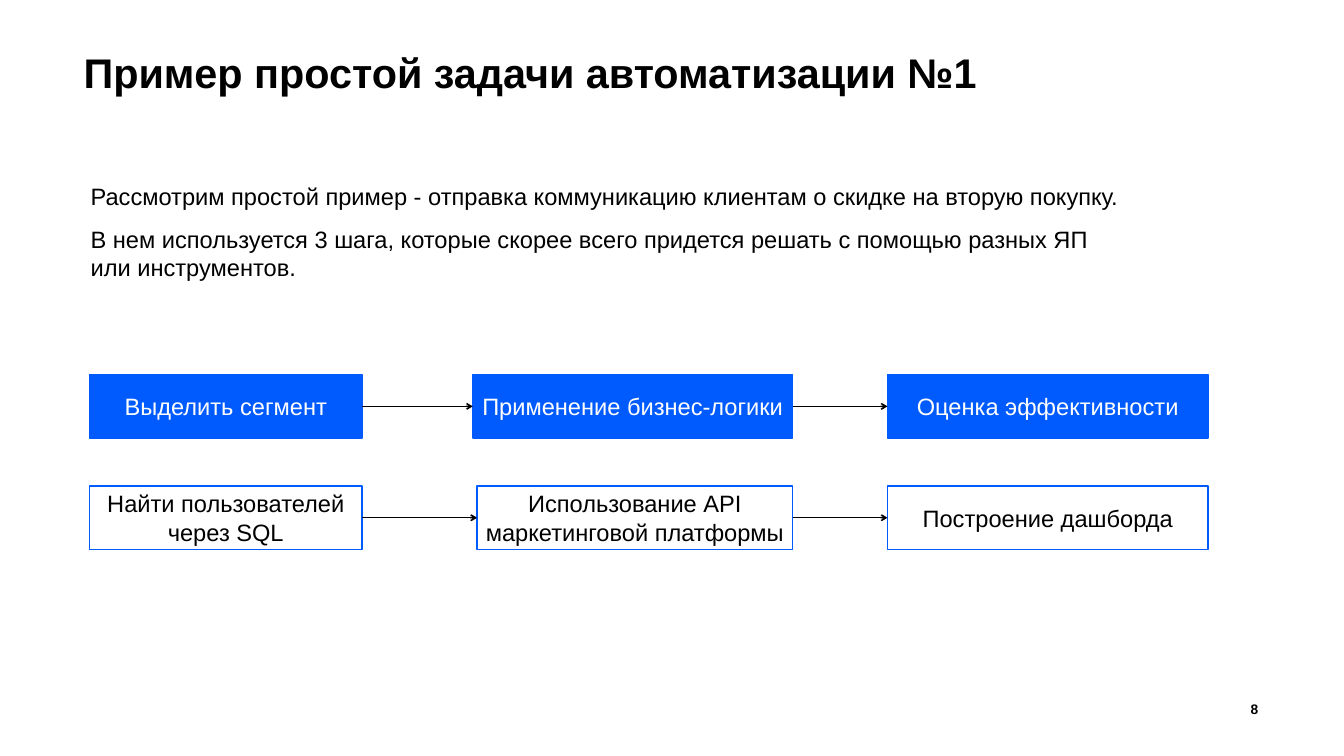
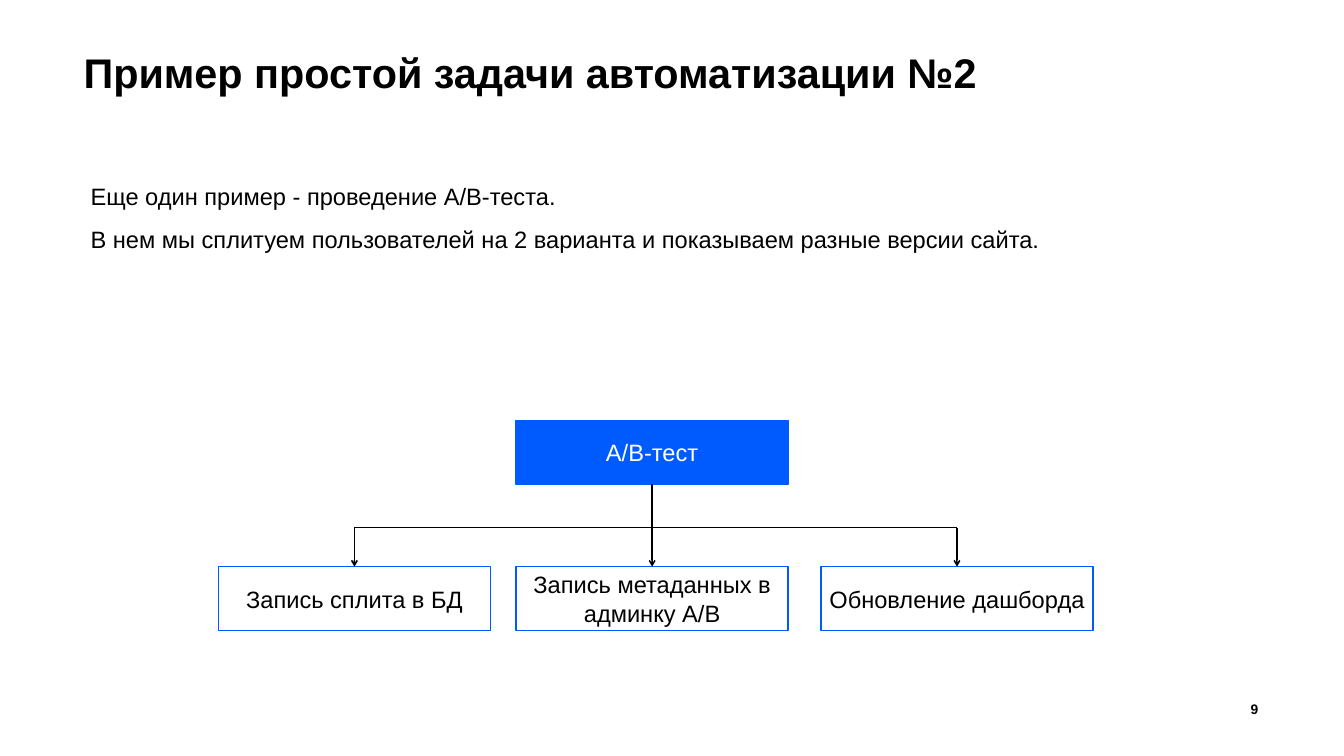
"""Build two slides about simple automation tasks."""
from dataclasses import dataclass
from itertools import pairwise

from lxml.etree import SubElement
from pptx import Presentation
from pptx.dml.color import RGBColor
from pptx.enum.shapes import MSO_CONNECTOR, MSO_SHAPE
from pptx.enum.text import MSO_ANCHOR, PP_ALIGN
from pptx.oxml.ns import qn
from pptx.shapes.autoshape import Shape
from pptx.shapes.connector import Connector
from pptx.slide import Slide
from pptx.text.text import TextFrame
from pptx.util import Emu, Pt

SCALE = 9144
TOP, LEFT, BOTTOM, RIGHT = range(4)


@dataclass(frozen=True)
class Theme:
    """Hold the colours, font and type sizes of the deck."""
    blue: RGBColor = RGBColor(0x00, 0x5B, 0xFF)
    black: RGBColor = RGBColor(0x00, 0x00, 0x00)
    white: RGBColor = RGBColor(0xFF, 0xFF, 0xFF)
    font: str = "Arial"
    title: int = 42
    body: int = 24
    page: int = 14
    line: float = 1.5
    before: int = 7
    after: int = 8


@dataclass(frozen=True)
class Box:
    """Describe one box of a diagram."""
    x: int
    y: int
    w: int
    text: str
    solid: bool = False
    h: int = 90


THEME = Theme()

STEPS = (
    (Box(126, 528, 385, "Выделить сегмент", True),
     Box(667, 528, 451, "Применение бизнес-логики", True),
     Box(1252, 528, 452, "Оценка эффективности", True)),
    (Box(126, 685, 385, "Найти пользователей через SQL"),
     Box(673, 685, 445, "Использование API\nмаркетинговой платформы"),
     Box(1252, 685, 452, "Построение дашборда")),
)
ROOT = Box(728, 593, 384, "А/В-тест", True)
LEAVES = (
    Box(308, 799, 384, "Запись сплита в БД"),
    Box(728, 799, 384, "Запись метаданных в админку А/В"),
    Box(1158, 799, 384, "Обновление дашборда"),
)
BAR = 744


def px(n: int) -> Emu:
    """Turn px into EMU."""
    return Emu(n * SCALE)


def style(frame: TextFrame, size: int, color: RGBColor, bold: bool = False,
          align: PP_ALIGN = PP_ALIGN.LEFT) -> None:
    """Format every run of a text frame."""
    frame.word_wrap = True
    for para in frame.paragraphs:
        para.alignment = align
        for run in para.runs:
            font = run.font
            font.name, font.size, font.bold = THEME.font, Pt(size), bold
            font.color.rgb = color


def write(slide: Slide, x: int, y: int, w: int, h: int, text: str) -> TextFrame:
    """Add a text box and return its frame."""
    frame = slide.shapes.add_textbox(px(x), px(y), px(w), px(h)).text_frame
    frame.text = text
    return frame


def inset(frame: TextFrame, side: int, top: int, bottom: int) -> None:
    """Set the margins of a text frame."""
    frame.margin_left = frame.margin_right = px(side)
    frame.margin_top, frame.margin_bottom = px(top), px(bottom)


def start(deck: Presentation, title: str, body: str, page: str) -> Slide:
    """Add a slide with its title, body text and page number."""
    slide = deck.slides.add_slide(deck.slide_layouts[6])

    head = write(slide, 118, 63, 1660, 124, title)
    inset(head, 0, 12, 0)
    style(head, THEME.title, THEME.black, bold=True)
    head.paragraphs[0].line_spacing = 0.9

    text = write(slide, 118, 251, 1492, 228, body)
    style(text, THEME.body, THEME.black)
    for i, para in enumerate(text.paragraphs):
        para.space_before = Pt(THEME.before if i else 0)
        para.space_after = Pt(THEME.after)

    foot = write(slide, 1679, 981, 100, 37, page)
    inset(foot, 4, 0, 6)
    foot.vertical_anchor = MSO_ANCHOR.BOTTOM
    style(foot, THEME.page, THEME.black, bold=True, align=PP_ALIGN.RIGHT)
    return slide


def draw(slide: Slide, box: Box) -> Shape:
    """Draw a solid or outlined box with centred text."""
    shape = slide.shapes.add_shape(
        MSO_SHAPE.RECTANGLE, px(box.x), px(box.y), px(box.w), px(box.h))
    shape.shadow.inherit = False
    if box.solid:
        shape.fill.solid()
        shape.fill.fore_color.rgb = THEME.blue
    else:
        shape.fill.background()
    shape.line.color.rgb = THEME.blue
    shape.line.width = Pt(THEME.line)
    frame = shape.text_frame
    frame.text = box.text
    frame.vertical_anchor = MSO_ANCHOR.MIDDLE
    style(frame, THEME.body, THEME.white if box.solid else THEME.black,
          align=PP_ALIGN.CENTER)
    return shape


def link(slide: Slide, x: int = 0, y: int = 0, to_x: int = 0, to_y: int = 0,
         arrow: bool = True) -> Connector:
    """Add a straight line, with an arrowhead if asked."""
    line = slide.shapes.add_connector(
        MSO_CONNECTOR.STRAIGHT, px(x), px(y), px(to_x), px(to_y))
    line.line.color.rgb = THEME.black
    line.line.width = Pt(THEME.line)
    props = line._element.spPr
    if arrow:
        SubElement(props.find(qn("a:ln")), qn("a:tailEnd"), type="arrow")
    SubElement(props, qn("a:effectLst"))
    return line


def join(slide: Slide, a: Shape, side: int, b: Shape, end: int) -> None:
    """Join the sides of two boxes with an arrow."""
    line = link(slide)
    line.begin_connect(a, side)
    line.end_connect(b, end)


def flow(slide: Slide) -> None:
    """Draw the rows of steps."""
    for row in STEPS:
        shapes = [draw(slide, box) for box in row]
        for a, b in pairwise(shapes):
            join(slide, a, RIGHT, b, LEFT)


def tree(slide: Slide) -> None:
    """Draw the root, its leaves and the lines between them."""
    root = draw(slide, ROOT)
    left, mid, right = [draw(slide, box) for box in LEAVES]
    mids = [box.x + box.w // 2 for box in LEAVES]
    link(slide, mids[0], BAR, mids[-1], BAR, arrow=False)
    join(slide, root, BOTTOM, mid, TOP)
    for x, leaf in ((mids[0], left), (mids[-1], right)):
        link(slide, x, BAR, x, BAR).end_connect(leaf, TOP)


def main() -> None:
    """Build and save the deck."""
    deck = Presentation()
    deck.slide_width, deck.slide_height = px(1896), px(1066)
    flow(start(
        deck, "Пример простой задачи автоматизации №1",
        "Рассмотрим простой пример - отправка коммуникацию клиентам "
        "о скидке на вторую покупку.\n"
        "В нем используется 3 шага, которые скорее всего придется решать "
        "с помощью разных ЯП или инструментов.", "8"))
    tree(start(
        deck, "Пример простой задачи автоматизации №2",
        "Еще один пример - проведение А/В-теста.\n"
        "В нем мы сплитуем пользователей на 2 варианта и показываем "
        "разные версии сайта.", "9"))
    deck.save("out.pptx")


if __name__ == "__main__":
    main()
